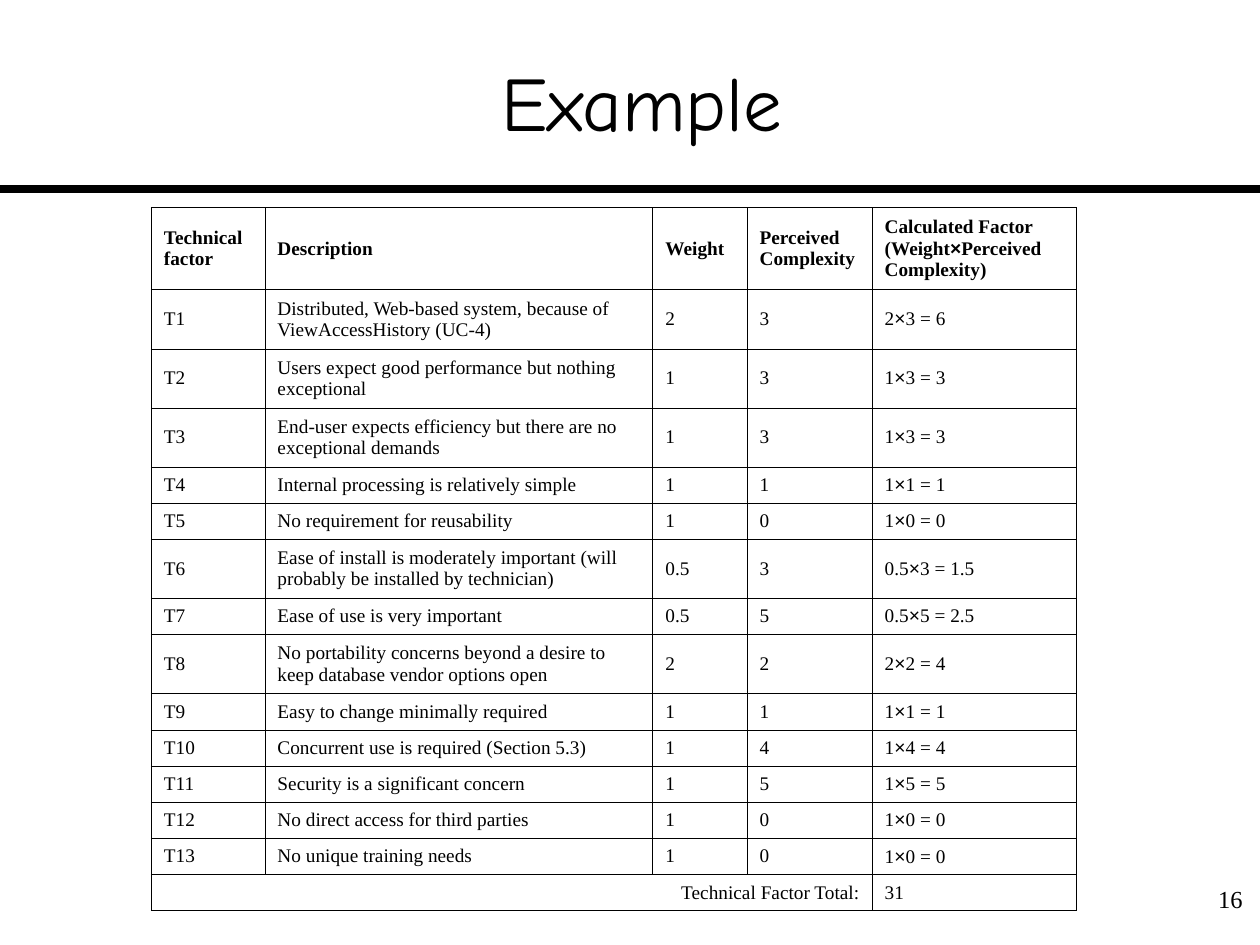
from dataclasses import dataclass

from lxml.etree import SubElement
from pptx import Presentation
from pptx.dml.color import RGBColor
from pptx.enum.shapes import MSO_CONNECTOR
from pptx.enum.text import MSO_ANCHOR, MSO_AUTO_SIZE, PP_ALIGN
from pptx.oxml.ns import qn
from pptx.util import Cm, Pt


@dataclass(frozen=True)
class Theme:
    ink: str = "000000"
    title_font: str = "Comic Neue"
    body_font: str = "Times New Roman"
    sign_font: str = "Arial"
    title_size: float = 44
    number_size: float = 14
    cell_size: float = 11
    rule_width: float = 4.5
    frame: float = 0.45
    hairline: float = 0.06
    header_line: float = 0.96


class SlideBuilder:
    def __init__(self, slide, theme):
        self.s = slide
        self.theme = theme

    def style(self, p, font, size, align=PP_ALIGN.LEFT, bold=False):
        p.alignment = align
        p.font.name = font
        p.font.size = Pt(size)
        p.font.bold = bold
        p.font.color.rgb = RGBColor.from_string(self.theme.ink)

    def title(self, text, *box):
        sp = self.s.shapes.title
        sp.left, sp.top, sp.width, sp.height = map(Cm, box)
        tf = sp.text_frame
        tf.auto_size = MSO_AUTO_SIZE.NONE
        tf.vertical_anchor = MSO_ANCHOR.MIDDLE
        tf.text = text
        self.style(tf.paragraphs[0], self.theme.title_font, self.theme.title_size, PP_ALIGN.CENTER)

    def rule(self, x1, y1, x2, y2):
        line = self.s.shapes.add_connector(MSO_CONNECTOR.STRAIGHT, *map(Cm, (x1, y1, x2, y2)))
        line.line.color.rgb = RGBColor.from_string(self.theme.ink)
        line.line.width = Pt(self.theme.rule_width)
        SubElement(line._element.spPr, qn("a:effectLst"))

    def page_number(self, text, *box):
        tf = self.s.shapes.add_textbox(*map(Cm, box)).text_frame
        tf.word_wrap = True
        tf.text = text
        self.style(tf.paragraphs[0], self.theme.body_font, self.theme.number_size, PP_ALIGN.RIGHT)

    def borders(self, cell, top, bottom):
        tcPr = cell._tc.get_or_add_tcPr()
        frame = self.theme.frame
        for side, width in (("L", frame), ("R", frame), ("T", top), ("B", bottom)):
            ln = SubElement(tcPr, qn(f"a:ln{side}"), w=str(Pt(width)))
            fill = SubElement(ln, qn("a:solidFill"))
            SubElement(fill, qn("a:srgbClr"), val=self.theme.ink)
        cell.fill.background()

    def cell_text(self, cell, text, align, bold):
        cell.vertical_anchor = MSO_ANCHOR.MIDDLE
        p = cell.text_frame.paragraphs[0]
        self.style(p, self.theme.body_font, self.theme.cell_size, align, bold)
        before, sign, after = text.partition("×")
        p.add_run().text = before
        if sign:
            r = p.add_run()
            r.text = sign
            r.font.name = self.theme.sign_font
            p.add_run().text = after

    def table(self, rows, left, top, widths, heights):
        th = self.theme
        last = len(rows) - 1
        lines = [th.frame, th.header_line] + [th.hairline] * (last - 2) + [th.frame] * 2
        table = self.s.shapes.add_table(
            len(rows), len(widths), Cm(left), Cm(top), Cm(sum(widths)), Cm(sum(heights))
        ).table
        table.first_row = table.horz_banding = False
        for column, width in zip(table.columns, widths):
            column.width = Cm(width)
        for i, (values, height) in enumerate(zip(rows, heights)):
            table.rows[i].height = Cm(height)
            for j, value in enumerate(values):
                cell = table.cell(i, j)
                self.borders(cell, lines[i], lines[i + 1])
                if value:
                    align = PP_ALIGN.RIGHT if i == last and j == 0 else PP_ALIGN.LEFT
                    self.cell_text(cell, value, align, bold=i == 0)
        table.cell(last, 0).merge(table.cell(last, len(widths) - 2))


HEADER = ("Technical factor", "Description", "Weight", "Perceived Complexity",
          "Calculated Factor (Weight×Perceived Complexity)")
FACTORS = [
    ("Distributed, Web-based system, because of ViewAccessHistory (UC‑4)", 2, 3),
    ("Users expect good performance but nothing exceptional", 1, 3),
    ("End-user expects efficiency but there are no exceptional demands", 1, 3),
    ("Internal processing is relatively simple", 1, 1),
    ("No requirement for reusability", 1, 0),
    ("Ease of install is moderately important (will probably be installed by technician)", 0.5, 3),
    ("Ease of use is very important", 0.5, 5),
    ("No portability concerns beyond a desire to keep database vendor options open", 2, 2),
    ("Easy to change minimally required", 1, 1),
    ("Concurrent use is required (Section 5.3)", 1, 4),
    ("Security is a significant concern", 1, 5),
    ("No direct access for third parties", 1, 0),
    ("No unique training needs", 1, 0),
]
COLUMN_WIDTHS = (2.29, 7.82, 1.9, 2.52, 4.11)
HEADER_HEIGHT, TWO_LINES, ONE_LINE = 1.66, 1.19, 0.73
LINE_CHARACTERS = 45


def main():
    prs = Presentation()
    prs.slide_width, prs.slide_height = Cm(25.4), Cm(19.05)
    s = SlideBuilder(prs.slides.add_slide(prs.slide_layouts[5]), Theme())

    rows, heights = [HEADER], [HEADER_HEIGHT]
    for n, (description, weight, complexity) in enumerate(FACTORS, 1):
        product = f"{weight}×{complexity} = {weight * complexity:g}"
        rows.append((f"T{n}", description, str(weight), str(complexity), product))
        heights.append(TWO_LINES if len(description) > LINE_CHARACTERS else ONE_LINE)
    total = sum(weight * complexity for _, weight, complexity in FACTORS)
    rows.append(("Technical Factor Total:", "", "", "", f"{total:g}"))
    heights.append(ONE_LINE)

    s.rule(0, 3.81, 25.4, 3.81)
    s.page_number("16", 24, 17.7, 1.3, 1.27)
    s.title("Example", 0.89, 0.43, 24.1, 3.18)
    s.table(rows, 3.05, 4.18, COLUMN_WIDTHS, heights)
    prs.save("out.pptx")


if __name__ == "__main__":
    main()
